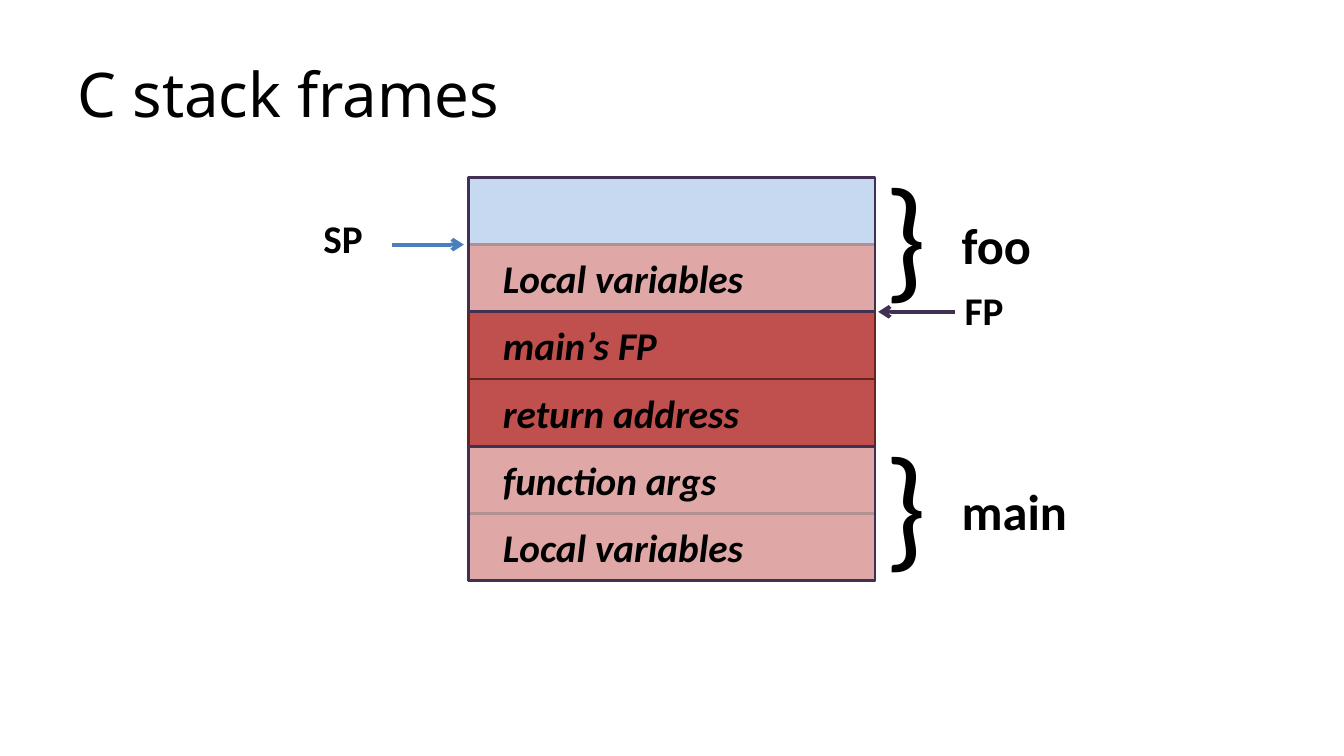
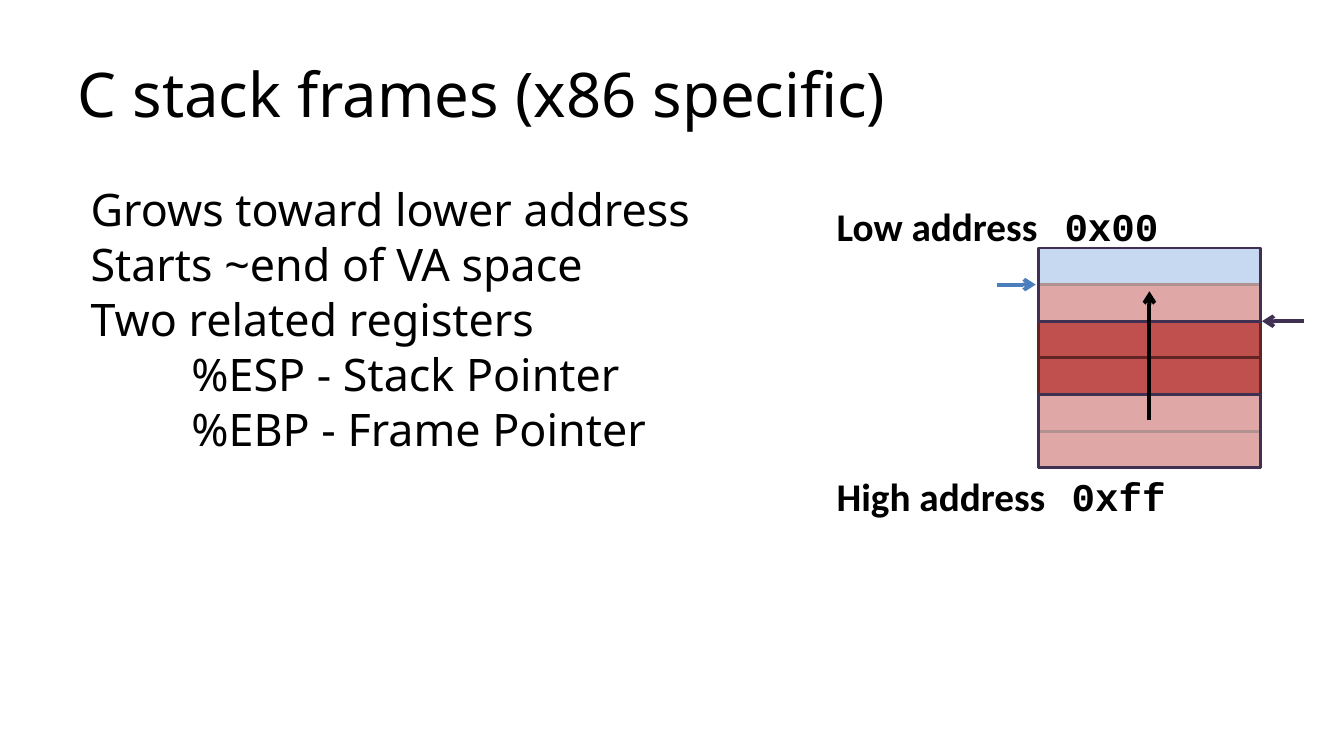
import lxml.etree
import pptx
import pptx.dml.color
import pptx.enum.shapes
import pptx.enum.text
import pptx.oxml.ns
import pptx.util

Inches = pptx.util.Inches
qn = pptx.oxml.ns.qn


def color(value):
    return pptx.dml.color.RGBColor.from_string(value)


class StackDeck:
    """Holds the deck style and the current slide, and draws its elements."""

    BLACK = "000000"
    FREE, FREE_EDGE = "8EB4E3", "EEECE1"
    USED, USED_EDGE = "C0504D", "632523"
    VEIL, FRAME = "FFFFFF", "403152"
    POINTER = "4B7EBC"
    HEADING_FONT, LABEL_FONT, CODE_FONT = "Noto Sans", "Calibri", "Courier New"

    def __init__(self):
        self.deck = pptx.Presentation()
        self.deck.slide_width = Inches(13.33)
        self.deck.slide_height = Inches(7.5)
        self.slide = None

    def style(self, font, size, name, bold=False, italic=False):
        font.name = name
        font.size = pptx.util.Pt(size)
        font.bold = bold
        font.italic = italic
        font.color.rgb = color(self.BLACK)

    def new_slide(self, heading):
        self.slide = self.deck.slides.add_slide(self.deck.slide_layouts[5])
        title = self.slide.shapes.title
        title.left, title.top = Inches(0.67), Inches(0.3)
        title.width, title.height = Inches(12), Inches(1.25)
        frame = title.text_frame
        frame.text = heading
        frame.auto_size = pptx.enum.text.MSO_AUTO_SIZE.NONE
        frame.vertical_anchor = pptx.enum.text.MSO_ANCHOR.MIDDLE
        paragraph = frame.paragraphs[0]
        paragraph.alignment = pptx.enum.text.PP_ALIGN.LEFT
        self.style(paragraph.runs[0].font, 44, self.HEADING_FONT)

    def text_frame(self, left, top, width, height):
        frame = self.slide.shapes.add_textbox(
            Inches(left), Inches(top), Inches(width), Inches(height)).text_frame
        frame.word_wrap = True
        return frame

    def label(self, text, left, top, width=3.67, height=0.57, size=28,
              bold=True, italic=False):
        frame = self.text_frame(left, top, width, height)
        frame.text = text
        self.style(frame.paragraphs[0].runs[0].font, size, self.LABEL_FONT, bold, italic)

    def address(self, caption, value, top, value_offset):
        paragraph = self.text_frame(8.2, top, 4.73, 0.57).paragraphs[0]
        tabs = lxml.etree.SubElement(paragraph._p.get_or_add_pPr(), qn("a:tabLst"))
        lxml.etree.SubElement(tabs, qn("a:tab"), pos=str(Inches(value_offset)), algn="l")
        for text, name in ((caption + "\t", self.LABEL_FONT), (value, self.CODE_FONT)):
            run = paragraph.add_run()
            run.text = text
            self.style(run.font, 28, name, bold=True)

    def body(self, lines):
        frame = self.text_frame(0.67, 1.75, 7.4, 4.95)
        for index, (text, indent) in enumerate(lines):
            paragraph = frame.add_paragraph() if index else frame.paragraphs[0]
            paragraph.text = text
            properties = paragraph._p.get_or_add_pPr()
            properties.set("marL", str(Inches(indent)))
            properties.set("indent", "0")
            if index:
                paragraph.space_before = pptx.util.Pt(1)
            self.style(paragraph.runs[0].font, 32, self.HEADING_FONT)

    def box(self, left, top, width, height, fill, edge, opacity=100):
        shape = self.slide.shapes.add_shape(
            pptx.enum.shapes.MSO_SHAPE.RECTANGLE,
            Inches(left), Inches(top), Inches(width), Inches(height))
        shape.shadow.inherit = False
        shape.fill.solid()
        shape.fill.fore_color.rgb = color(fill)
        shape.line.color.rgb = color(edge)
        shape.line.width = pptx.util.Pt(2)
        if opacity < 100:
            fill_color = shape.element.spPr.find(qn("a:solidFill"))[0]
            lxml.etree.SubElement(fill_color, qn("a:alpha"), val=str(opacity * 1000))

    def arrow(self, start, end, stroke):
        connector = self.slide.shapes.add_connector(
            pptx.enum.shapes.MSO_CONNECTOR.STRAIGHT,
            *(Inches(value) for value in start + end))
        connector.line.color.rgb = color(stroke)
        connector.line.width = pptx.util.Pt(2.75)
        properties = connector.element.spPr
        lxml.etree.SubElement(properties.find(qn("a:ln")), qn("a:tailEnd"), type="arrow")
        lxml.etree.SubElement(properties, qn("a:effectLst"))

    def stack(self, left, top, width, height):
        row = height / 6
        scale = width / 4.03
        right = left + width

        def used(index):
            self.box(left, top + index * row, width, row, self.USED, self.USED_EDGE)

        def veil(index):
            self.box(left, top + index * row, width, 2 * row, self.VEIL, self.FRAME, 50)

        self.box(left, top, width, row, self.FREE, self.FREE_EDGE)
        for index in (5, 4, 3, 2):
            used(index)
        veil(4)
        used(1)
        veil(0)
        stack_y, frame_y = top + row, top + 2 * row
        self.arrow((left - 0.76 * scale, stack_y), (left - 0.05 * scale, stack_y),
                   self.POINTER)
        self.arrow((right + 0.79 * scale, frame_y), (right + 0.03 * scale, frame_y),
                   self.FRAME)


def main():
    deck = StackDeck()

    deck.new_slide("C stack frames")
    stack_top, stack_height = 1.76, 4
    deck.stack(4.65, stack_top, 4.03, stack_height)
    contents = ("Local variables", "main’s FP", "return address",
                "function args", "Local variables")
    for index, content in enumerate(contents, 1):
        deck.label(content, 4.89, stack_top + index * stack_height / 6 + 0.05, italic=True)
    for function, brace_top, name_top in (("foo", 1.45, 2.07), ("main", 4.12, 4.71)):
        deck.label("}", 8.67, brace_top, 0.67, 1.72, size=96, bold=False)
        deck.label(function, 9.44, name_top, height=0.71, size=36)
    deck.label("SP", 3.11, 2.08, width=1)
    deck.label("FP", 9.47, 2.79, width=1)

    deck.new_slide("C stack frames (x86 specific)")
    deck.body((
        ("Grows toward lower address", 0.13),
        ("Starts ~end of VA space", 0.13),
        ("Two related registers", 0.13),
        ("%ESP - Stack Pointer", 1.13),
        ("%EBP - Frame Pointer", 1.13),
    ))
    deck.stack(10.3, 2.46, 2.2, 2.18)
    deck.address("Low address", "0x00", 1.96, 2.26)
    deck.address("High address", "0xff", 4.64, 2.33)
    deck.arrow((11.4, 4.17), (11.4, 2.89), deck.BLACK)

    deck.deck.save("out.pptx")


if __name__ == "__main__":
    main()
